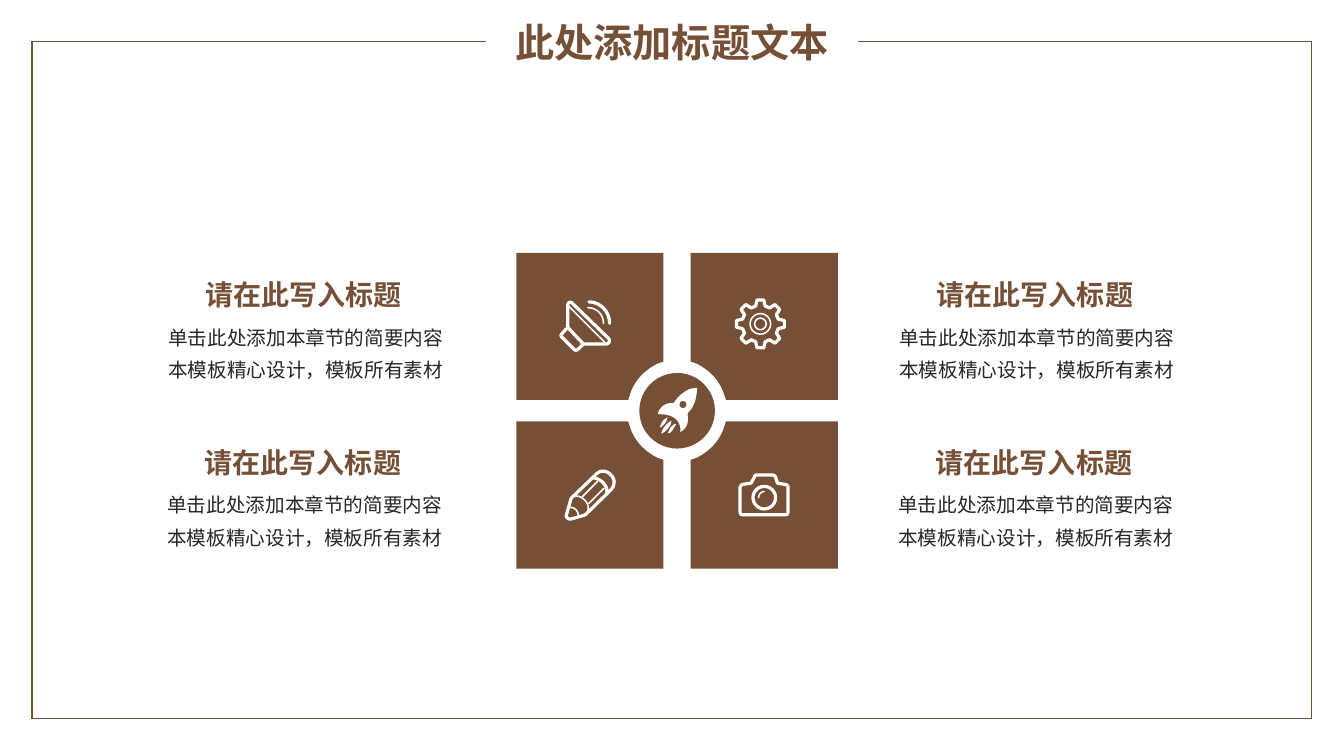
from math import cos, radians, sin

from lxml import etree
from pptx import Presentation
from pptx import util as u
from pptx.dml.color import RGBColor
from pptx.enum import shapes, text
from pptx.oxml import ns

BROWN = RGBColor(0x76, 0x50, 0x36)
WHITE = RGBColor(0xFF, 0xFF, 0xFF)
DARK = RGBColor(0x26, 0x26, 0x26)
FONT = "Noto Sans CJK SC"
UNIT = 0.72
THICK, THIN = 2.3, 1.1
TILE = 146 * UNIT

TILE_OUTLINE = "M 0 0 L 146 0 L 146 108 L 140 110 C 128 116 119 125 114 137 L 111 146 L 0 146 Z"
SPEAKER = [
    (THICK, "M 8 27 L 8 5 C 8 2 11 1 13 3.5 L 48.5 38 C 50.5 40 49 43.5 46 43.5 L 23.5 43.5"),
    (THICK, "M 8 27 L 2.5 33 C 1 34 1 36 2.5 37 L 14 48.5 C 15 50 17 50 18.5 48.5 L 23.5 43.5 Z"),
    (THIN, "M 9 6 L 46 43"),
    (THIN, "M 28 7.5 C 36.5 7.5 43.5 14 43.5 23"),
    (THICK, "M 29 1.7 C 40 1.7 49.5 11 49.5 23"),
]
PENCIL = [
    (THICK, "M 1.7 45 L 6 30 C 6 29 7 28 8 27 L 32 4 C 36 0.5 41 1 45 4.5 C 50 9 50.5 15 46 20 "
            "L 22 43.5 C 21 44.5 20 45 19 45.5 L 7 49 C 3 50 1 47 1.7 45 Z"),
    (THIN, "M 5 37.5 C 10 37.5 13.5 41 13.5 46"),
    (THIN, "M 8 27 C 12 25 17 27 20.5 31 C 24 35 24 39 22 43.5"),
    (THICK, "M 29 8.5 C 33 9 36 11 38 13 C 41 16 42.5 20 41.5 23"),
    (THIN, "M 17.5 27 L 32.5 12 M 24 33.5 L 39 18.5"),
]
CAMERA = [
    (THICK, "M 2 38 L 2 14 C 2 13 3 12 4 11 L 13 9.5 L 16 4 C 16 3 17 1.5 18 1.5 L 34 1.5 "
            "C 35 1.5 36 2 37 3 L 39 9.5 L 47 11 C 49 11 49.5 13 49.5 14 L 49.5 38 "
            "C 49.5 40 48.5 41 47 41 L 5 41 C 3 41 2 40 2 38 Z"),
    (THIN, "M 20.5 24 C 20.5 20.5 23 18 26 18"),
]
ROCKET = (
    "M 17 36 C 18 36 18 36 17 37 C 16 39 14 43 11 45 C 10 45 9 45 10 44 C 11 42 12 38 16 36 Z "
    "M 13 33 C 13 37 9 42 4 45 C 3 46 3 45 3 45 C 4 41 7 36 12 33 Z "
    "M 9 29 C 9 33 6 36 3 39 C 2 39 1 39 2 38 C 3 35 4 32 8 30 Z "
    "M 38 0 C 39 0 38.5 2 38 6 C 37 13 35 19 30 24 C 29 25 29 27 29 27 C 30 31 30 39 23 43 "
    "C 22 44 21 43 22 42 C 22 37 20 26 1 26 C 0 26 -1 25 0 24 C 1 21 5 15 13 15 "
    "C 14 15 16 15 16 14 C 18 11 21 7 26 4 C 30 1 34 0 38 0 Z "
    "M 21 16.5 C 21 11.8 28 11.8 28 16.5 C 28 21.2 21 21.2 21 16.5 Z"
)


def paint(shape, fill=None, stroke=0):
    """Give a shape a plain fill or a white rounded stroke."""
    shape.shadow.inherit = False
    if fill is None:
        shape.fill.background()
    else:
        shape.fill.solid()
        shape.fill.fore_color.rgb = fill
    if not stroke:
        shape.line.fill.background()
        return
    shape.line.color.rgb = WHITE
    shape.line.width = u.Pt(stroke)
    line = shape.line._get_or_add_ln()
    line.set("cap", "rnd")
    etree.SubElement(line, ns.qn("a:round"))


def contours(outline):
    """Turn an outline of M, L, C and Z commands into (points, closed) pairs."""
    tokens = iter(outline.split())
    result = []
    for command in tokens:
        if command == "Z":
            result[-1][1] = True
            continue
        count = 3 if command == "C" else 1
        ends = [(float(next(tokens)), float(next(tokens))) for _ in range(count)]
        if command == "M":
            result.append([ends, False])
        elif command == "L":
            result[-1][0].extend(ends)
        else:
            curve = [result[-1][0][-1]] + ends
            for step in range(1, 9):
                t = step / 8
                weights = ((1 - t) ** 3, 3 * t * (1 - t) ** 2, 3 * t * t * (1 - t), t ** 3)
                result[-1][0].append(tuple(
                    sum(w * point[axis] for w, point in zip(weights, curve)) for axis in (0, 1)))
    return result


def draw_outline(slide, left, top, outline, fill=None, stroke=0, flip=(False, False)):
    """Draw an outline at a corner, mirrored within a tile where asked."""
    def place(point):
        across, down = (146 - v if turned else v for v, turned in zip(point, flip))
        return u.Pt(left + across * UNIT), u.Pt(top + down * UNIT)

    builder = None
    for points, closed in contours(outline):
        start, *rest = map(place, points)
        if builder is None:
            builder = slide.shapes.build_freeform(*start)
        else:
            builder.move_to(*start)
        builder.add_line_segments(rest, close=closed)
    paint(builder.convert_to_shape(), fill, stroke)


def draw_circle(slide, x, y, radius, fill=None, stroke=0):
    """Draw a circle around a centre."""
    circle = slide.shapes.add_shape(
        shapes.MSO_SHAPE.OVAL, u.Pt(x - radius), u.Pt(y - radius), u.Pt(2 * radius), u.Pt(2 * radius))
    paint(circle, fill, stroke)


def draw_icon(slide, left, top, strokes):
    """Draw the strokes of an icon from its corner."""
    for stroke, outline in strokes:
        draw_outline(slide, left, top, outline, stroke=stroke)


def draw_gear(slide, left, top):
    """Draw an eight-toothed gear with two rings."""
    corners = []
    for tooth in range(8):
        for radius, turn in ((18.3, -15), (24, -8), (24, 8), (18.3, 15)):
            angle = radians(45 * tooth + turn)
            corners.append(f"{25.5 + radius * cos(angle)} {25.5 + radius * sin(angle)}")
    draw_outline(slide, left, top, "M " + " L ".join(corners) + " Z", stroke=THICK)
    for radius in (10.2, 5.8):
        draw_circle(slide, left + 25.5 * UNIT, top + 25.5 * UNIT, radius * UNIT, stroke=THIN)


def draw_camera(slide, left, top):
    """Draw a camera with its lens."""
    draw_icon(slide, left, top, CAMERA)
    draw_circle(slide, left + 26 * UNIT, top + 24 * UNIT, 11.2 * UNIT, stroke=THICK)


def add_text(slide, box, lines, size, color, bold=False, align=None, spacing=None, wrap=True):
    """Add a text box with one paragraph per line."""
    frame = slide.shapes.add_textbox(*map(u.Pt, box)).text_frame
    frame.word_wrap = wrap
    frame.auto_size = text.MSO_AUTO_SIZE.SHAPE_TO_FIT_TEXT
    for index, line in enumerate(lines):
        paragraph = frame.add_paragraph() if index else frame.paragraphs[0]
        paragraph.alignment = align
        paragraph.line_spacing = spacing
        run = paragraph.add_run()
        run.text = line
        run.font.size = u.Pt(size)
        run.font.bold = bold
        run.font.color.rgb = color
        run.font.name = FONT
        etree.SubElement(run.font._element, ns.qn("a:ea")).set("typeface", FONT)


def draw_frame(slide, left, top, right, bottom):
    """Draw the border, open at the top around the slide title."""
    gap_left, gap_right = left + 324, right - 324
    for ends in ((right, top, right, bottom), (right, bottom, left, bottom), (left, top, left, bottom),
                 (gap_left, top, left, top), (right, top, gap_right, top)):
        line = slide.shapes.add_connector(shapes.MSO_CONNECTOR.STRAIGHT, *map(u.Pt, ends))
        line.line.color.rgb = BROWN
        line.line.width = u.Pt(1)
        etree.SubElement(line._element.spPr, ns.qn("a:effectLst"))
    add_text(slide, (361, 9.4, 238, 41), ["此处添加标题文本"], 28, BROWN, True,
             text.PP_ALIGN.CENTER, wrap=False)


def draw_tiles(slide, left, top):
    """Draw four notched tiles with icons around a round hub."""
    for row in range(2):
        for column in range(2):
            draw_outline(slide, left + 124.6 * column, top + 120.5 * row, TILE_OUTLINE,
                         fill=BROWN, flip=(column, row))
    draw_icon(slide, left + 31, top + 33.8, SPEAKER)
    draw_gear(slide, left + 156, top + 32.4)
    draw_icon(slide, left + 34.6, top + 154.8, PENCIL)
    draw_camera(slide, left + 158.4, top + 157.6)
    hub_x, hub_y = left + (124.6 + TILE) / 2, top + (120.5 + TILE) / 2
    draw_circle(slide, hub_x, hub_y, 27, fill=BROWN)
    draw_outline(slide, hub_x - 13.4, hub_y - 16.3, ROCKET, fill=WHITE)


def draw_caption(slide, left, top):
    """Write a heading with two lines below it."""
    add_text(slide, (left + 5.8, top + 27.6, 228, 54.7),
             ["单击此处添加本章节的简要内容", "本模板精心设计，模板所有素材"], 14, DARK, spacing=1.4)
    add_text(slide, (left, top, 219.6, 31.7), ["请在此写入标题"], 20, BROWN, True, text.PP_ALIGN.CENTER)


def main():
    """Build and save the slide."""
    presentation = Presentation()
    presentation.slide_width, presentation.slide_height = u.Pt(960), u.Pt(540)
    slide = presentation.slides.add_slide(presentation.slide_layouts[6])
    draw_frame(slide, 23, 29.5, 936.7, 513.4)
    draw_tiles(slide, 368.8, 180.6)
    for row in range(2):
        for column in range(2):
            draw_caption(slide, 107.3 + 522.2 * column - 0.7 * row, 194.6 + 119.8 * row)
    presentation.save("out.pptx")


if __name__ == "__main__":
    main()
